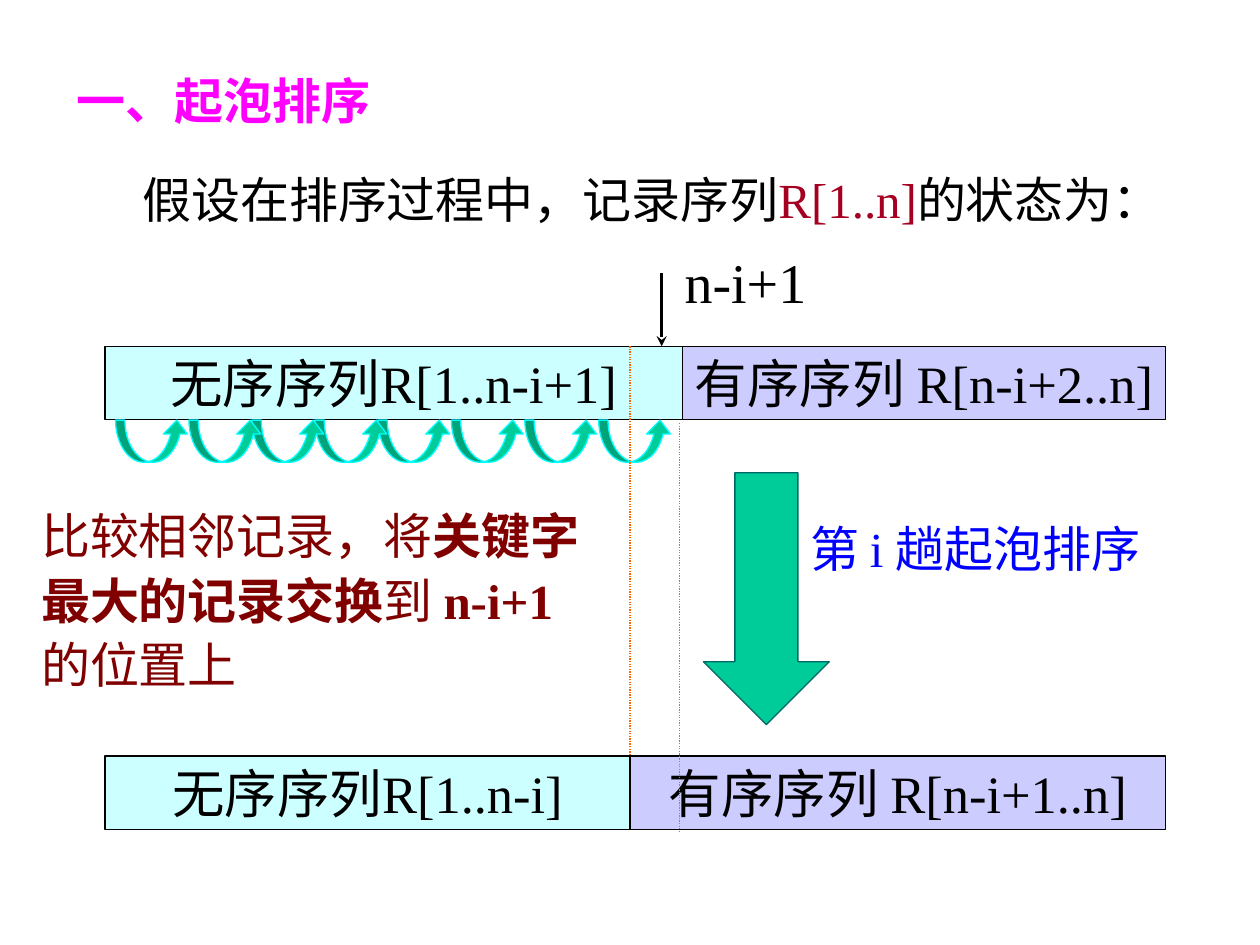
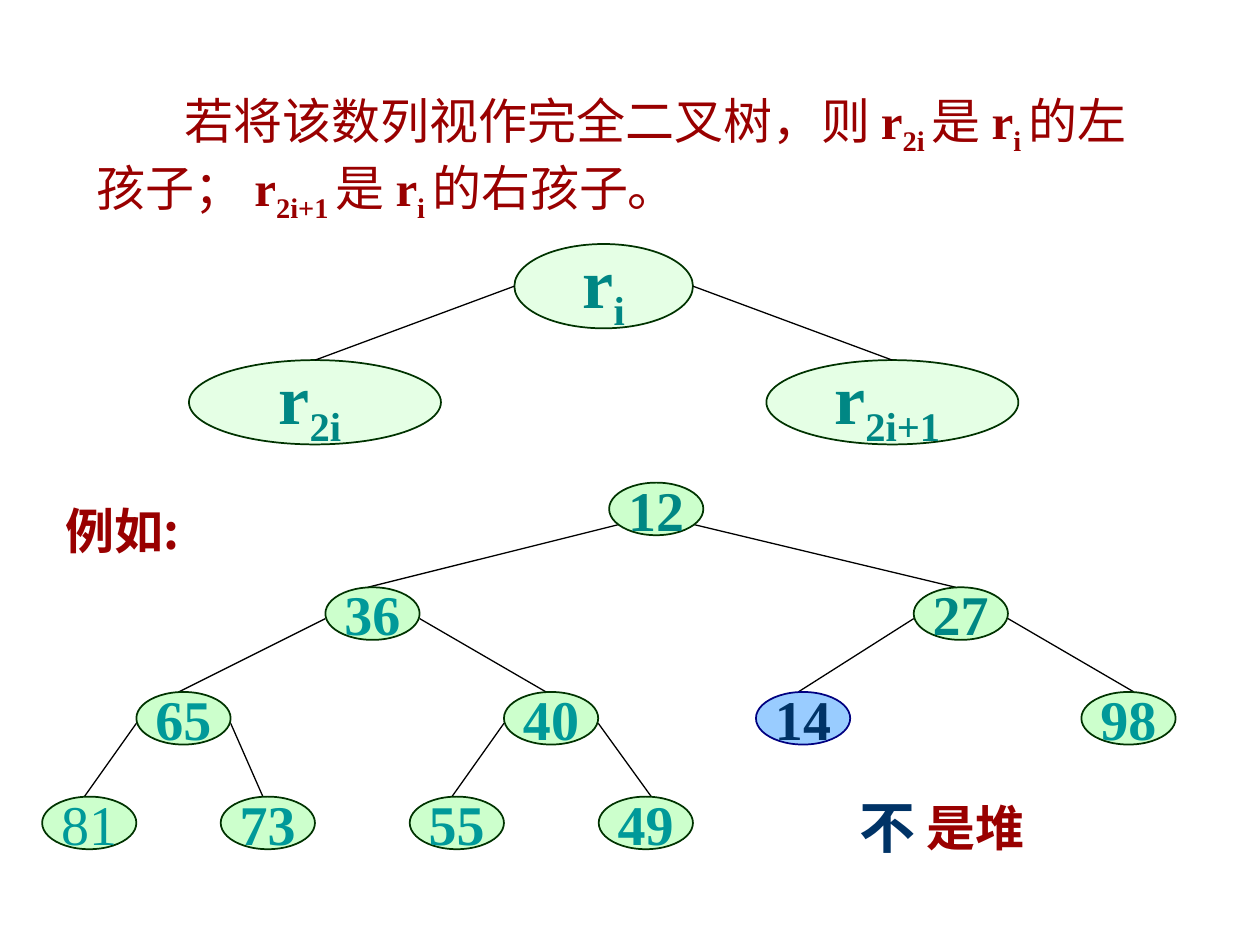
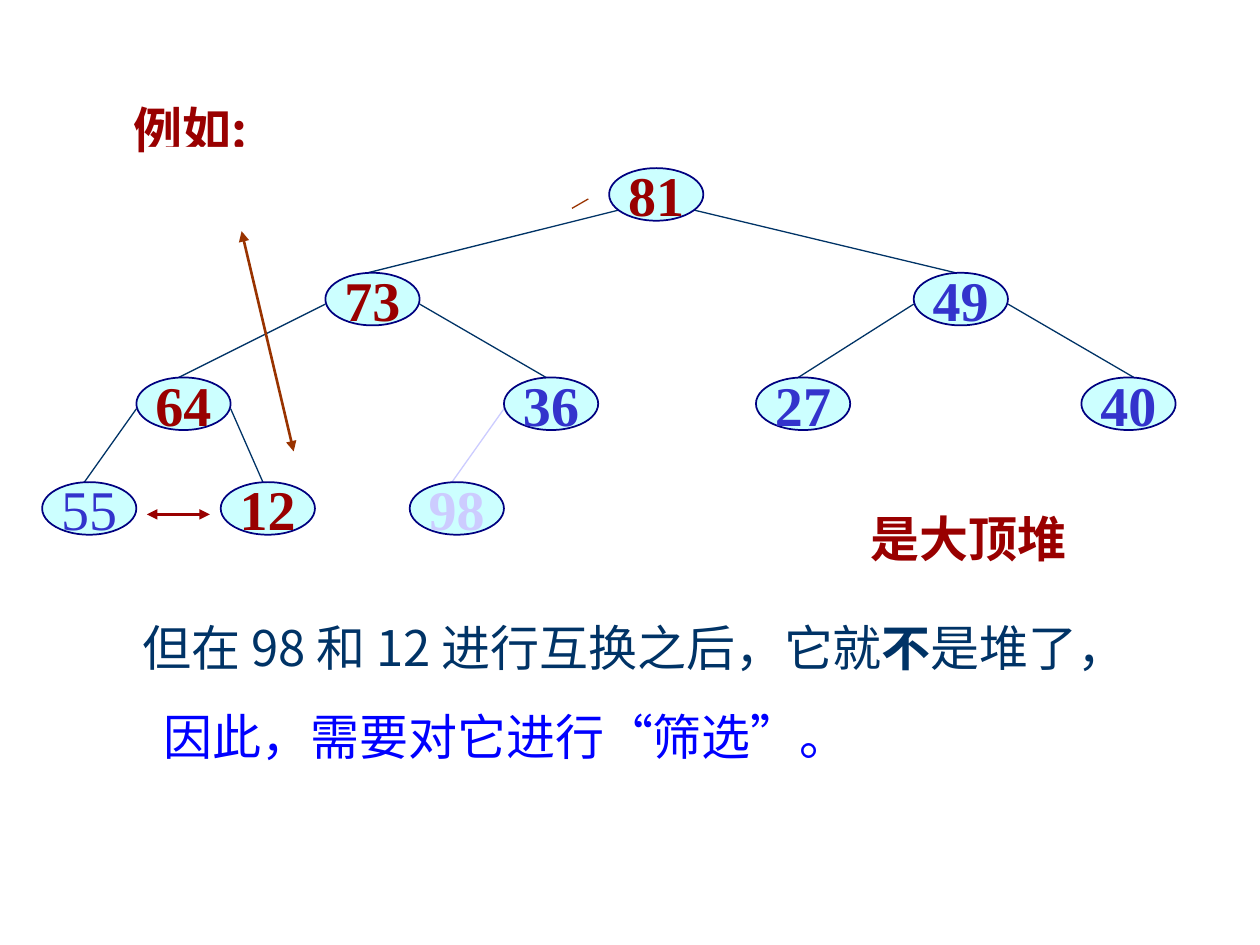
import pptx
import pptx.dml.color
import pptx.enum.dml
import pptx.enum.shapes
import pptx.enum.text
import pptx.oxml
import pptx.oxml.ns
import pptx.util

Cm, Pt = pptx.util.Cm, pptx.util.Pt
KIND = pptx.enum.shapes.MSO_SHAPE
FIT = pptx.enum.text.MSO_AUTO_SIZE.SHAPE_TO_FIT_TEXT
MID = pptx.enum.text.MSO_ANCHOR.MIDDLE
MIDST = pptx.enum.text.PP_ALIGN.CENTER
DOTS = pptx.enum.dml.MSO_LINE.ROUND_DOT

ROMAN, SANS = "Times New Roman", "Noto Sans CJK SC"
BLACK, RED, NAVY, BLUE, TEAL = "000000", "990000", "003366", "0000FF", "008784"
CYAN, LILAC, LIME, JADE = "CCFFFF", "CCCCFF", "CCFFCC", "00CC99"
SEA, IRIS = "009999", "3333CC"
BOLD = {"bold": True}
SUB = {"bold": True, "sub": True}

NODE_W, NODE_H, ROW = 1.9, 1.06, 2.11
LEFTS = [12.28, 6.56, 18.42, 2.75, 10.16, 15.24, 21.8, 0.85, 4.45, 8.26, 12.07]


def hue(code):
    """Turn a hex string into a colour."""
    return pptx.dml.color.RGBColor.from_string(code)


def mark(tag, **values):
    """Make a drawing element with the given attributes."""
    node = pptx.oxml.parse_xml(f'<a:{tag} {pptx.oxml.ns.nsdecls("a")}/>')
    for key, value in values.items():
        node.set(key, value)
    return node


def write(para, runs, color, size=28, name=ROMAN, bold=False):
    """Fill a paragraph with runs, each a string or a pair of string and changes."""
    for item in runs:
        words, change = (item, {}) if isinstance(item, str) else item
        look = {"size": Pt(size), "name": name, "bold": bold, "color": color, **change}
        sub, tint = look.pop("sub", False), look.pop("color")
        run = para.add_run()
        run.text = words
        for key, value in look.items():
            setattr(run.font, key, value)
        run.font.color.rgb = hue(tint)
        props = run._r.get_or_add_rPr()
        props.append(mark("ea", typeface=SANS))
        if sub:
            props.set("baseline", "-25000")


def label(slide, place, runs, color, wrap=False, space=None, indent=0, **look):
    """Add a text box that fits its text."""
    frame = slide.shapes.add_textbox(*map(Cm, place)).text_frame
    frame.word_wrap, frame.auto_size = wrap, FIT
    para = frame.paragraphs[0]
    if space:
        para.line_spacing = space
    if indent:
        para._p.get_or_add_pPr().set("indent", str(Cm(indent)))
    write(para, runs, color, **look)


def shape(slide, kind, place, fill, edge=None, width=0.75, clear=None, bends=()):
    """Add a filled preset shape."""
    form = slide.shapes.add_shape(kind, *map(Cm, place))
    form.shadow.inherit = False
    form.fill.solid()
    form.fill.fore_color.rgb = hue(fill)
    if clear:
        tint = form._element.spPr.find(".//" + pptx.oxml.ns.qn("a:srgbClr"))
        tint.append(mark("alpha", val=str(clear * 1000)))
    if edge:
        form.line.color.rgb, form.line.width = hue(edge), Pt(width)
    else:
        form.line.fill.background()
    for spot, bend in enumerate(bends):
        form.adjustments[spot] = bend
    return form


def block(slide, kind, place, fill, edge, runs, color, size, width=0.75, clear=None, bold=False):
    """Add a shape with centred text."""
    frame = shape(slide, kind, place, fill, edge, width, clear).text_frame
    frame.word_wrap, frame.vertical_anchor = False, MID
    para = frame.paragraphs[0]
    para.alignment = MIDST
    write(para, runs, color, size=size, bold=bold)


def link(slide, ends, color, width=0.75, dash=None, head=None, tail=None):
    """Draw a straight line with optional dash and arrowheads."""
    wire = slide.shapes.add_connector(pptx.enum.shapes.MSO_CONNECTOR.STRAIGHT, *map(Cm, ends))
    look = {"width": Pt(width), "dash_style": dash}
    wire.line.color.rgb = hue(color)
    for key, value in look.items():
        setattr(wire.line, key, value)
    props = wire._element.spPr
    stroke = props.find(pptx.oxml.ns.qn("a:ln"))
    for tag, kind in (("headEnd", head), ("tailEnd", tail)):
        if kind:
            stroke.append(mark(tag, type=kind))
    props.append(mark("effectLst"))


def tree(slide, top, nodes, fill, edge, wire, odd):
    """Draw a binary tree in heap order; odd holds changes for some nodes."""
    tops = [top + ROW * ((n + 1).bit_length() - 1) for n in range(len(nodes))]
    for n in range(1, len(nodes)):
        up = (n - 1) // 2
        inset, drop = (0.21, 0.84) if up == 0 else (0, 0.63)
        side = inset if n % 2 else NODE_W - inset
        reach = 1.06 if n in (6, 10) else 0.85
        ends = LEFTS[up] + side, tops[up] + drop, LEFTS[n] + reach, tops[n]
        link(slide, ends, odd.get(n, {}).get("wire", wire))
    for n, (value, color) in enumerate(nodes):
        look = odd.get(n, {})
        block(slide, KIND.OVAL, (LEFTS[n], tops[n], NODE_W, NODE_H), look.get("fill", fill),
              look.get("edge", edge), [str(value)], color, 32, width=1, bold=n != 7)


def bubble(slide):
    """Build the bubble sort slide."""
    label(slide, (1.3, 1.3, 6.48, 1.45), ["一、起泡排序"], "FF00FF", bold=True)
    label(slide, (0.64, 3.05, 23.77, 1.68),
          ["假设在排序过程中，记录序列", ("R[1..n]", {"color": "A50021"}), "的状态为："],
          BLACK, wrap=True, space=1.2, indent=1.98)
    label(slide, (16.08, 10.16, 7.42, 1.63), ["第 i 趟起泡排序"], BLUE, wrap=True, space=1.15)
    start, stop = 2.12, 23.5
    for top, split, loose, done in (
            (6.98, 13.76, "无序序列R[1..n-i+1]", "有序序列 R[n-i+2..n]"),
            (15.24, 12.7, "无序序列R[1..n-i]", "有序序列 R[n-i+1..n]")):
        for left, right, fill, words in ((start, split, CYAN, loose), (split, stop, LILAC, done)):
            block(slide, KIND.RECTANGLE, (left, top, right - left, 1.48), fill, BLACK,
                  [words], BLACK, 30)
    link(slide, (13.34, 5.5, 13.34, 6.98), BLACK, 1.5, tail="stealth")
    label(slide, (13.55, 4.87, 2.96, 1.6), ["n-i+1"], BLACK, size=32)
    shape(slide, KIND.DOWN_ARROW, (14.18, 9.53, 2.54, 5.08), JADE, "006666")
    label(slide, (0.58, 9.95, 11.68, 4.17),
          ["比较相邻记录，将", ("关键字最大的记录交换", BOLD), "到 ", ("n-i+1 ", BOLD), "的位置上"],
          "800000", wrap=True, space=1.1)
    for left in (12.07, 10.58, 9.1, 7.62, 6.35, 5.08, 3.81, 2.33):
        shape(slide, KIND.CURVED_UP_ARROW, (left, 8.47, 1.48, 0.85), JADE, "00FFFF",
              bends=(0.22, 0.57, 0.33))
    for x, top in ((13.7, 8.53), (12.7, 6.98)):
        link(slide, (x, top, x, top + 8.26), "FF6600", dash=DOTS)


def broken(slide):
    """Build the slide whose tree is not a heap."""
    for left, top, wide, foot in ((10.37, 4.92, 3.6, "i"), (3.81, 7.26, 5.08, "2i "),
                                  (15.45, 7.26, 5.08, "2i+1 ")):
        block(slide, KIND.OVAL, (left, top, wide, 1.7), LIME, "003300",
              ["r", (foot, SUB)], TEAL, 40, width=1, clear=50, bold=True)
    for near, far in ((10.37, 6.35), (13.97, 17.99)):
        link(slide, (near, 5.77, far, 7.26), BLACK)
    root = ("r", BOLD)
    label(slide, (1.7, 1.7, 22, 2.62),
          ["若将该数列视作完全二叉树，则 ", root, ("2i ", SUB), "是 ", root, ("i ", SUB),
           "的左孩子； ", root, ("2i+1 ", SUB), "是 ", root, ("i ", SUB), "的右孩子。"],
          RED, wrap=True, indent=1.78)
    nodes = [(12, TEAL), (36, SEA), (27, TEAL), (65, SEA), (40, SEA), (14, NAVY),
             (98, SEA), (81, SEA), (73, SEA), (55, SEA), (49, SEA)]
    tree(slide, 9.73, nodes, LIME, "003300", BLACK, {5: {"fill": "99CCFF", "edge": "000080"}})
    label(slide, (1.07, 9.96, 3, 1.45), ["例如:"], RED, name=SANS, bold=True)
    label(slide, (18.42, 15.95, 2.49, 1.45), ["是堆"], RED, bold=True)
    label(slide, (17.07, 15.85, 1.65, 1.6), ["不"], NAVY, size=32, bold=True)


def swap(slide):
    """Build the slide of the heap after a swap."""
    nodes = [(81, RED), (73, RED), (49, IRIS), (64, RED), (36, IRIS), (27, IRIS),
             (40, IRIS), (55, IRIS), (12, RED), (98, LILAC)]
    tree(slide, 3.39, nodes, CYAN, "000080", NAVY, {9: {"wire": LILAC}})
    label(slide, (2.44, 1.88, 3, 1.45), ["例如:"], RED, name=SANS, bold=True)
    shape(slide, KIND.RECTANGLE, (2.96, 2.96, 2.54, 1.48), "FFFFFF")
    label(slide, (17.3, 10.13, 4.47, 1.45), ["是大顶堆"], RED, bold=True)
    label(slide, (2.62, 12.32, 21.26, 1.45),
          ["但在 98 和 12 进行互换之后，它就", ("不", BOLD), "是堆了，"], NAVY, name=SANS)
    label(slide, (3.05, 14.12, 14.35, 1.45), ["因此，需要对它进行“筛选”。"], BLUE)
    link(slide, (11.53, 4.2, 11.86, 4.01), "993300")
    for ends, color in (((2.96, 10.37, 4.23, 10.37), RED), ((5.92, 9.1, 4.87, 4.66), "993300")):
        link(slide, ends, color, 1.5, head="triangle", tail="triangle")


def main():
    """Build and save the deck."""
    deck = pptx.Presentation()
    deck.slide_width, deck.slide_height = Cm(25.4), Cm(19.05)
    for build in (bubble, broken, swap):
        build(deck.slides.add_slide(deck.slide_layouts[6]))
    deck.save("out.pptx")


if __name__ == "__main__":
    main()
